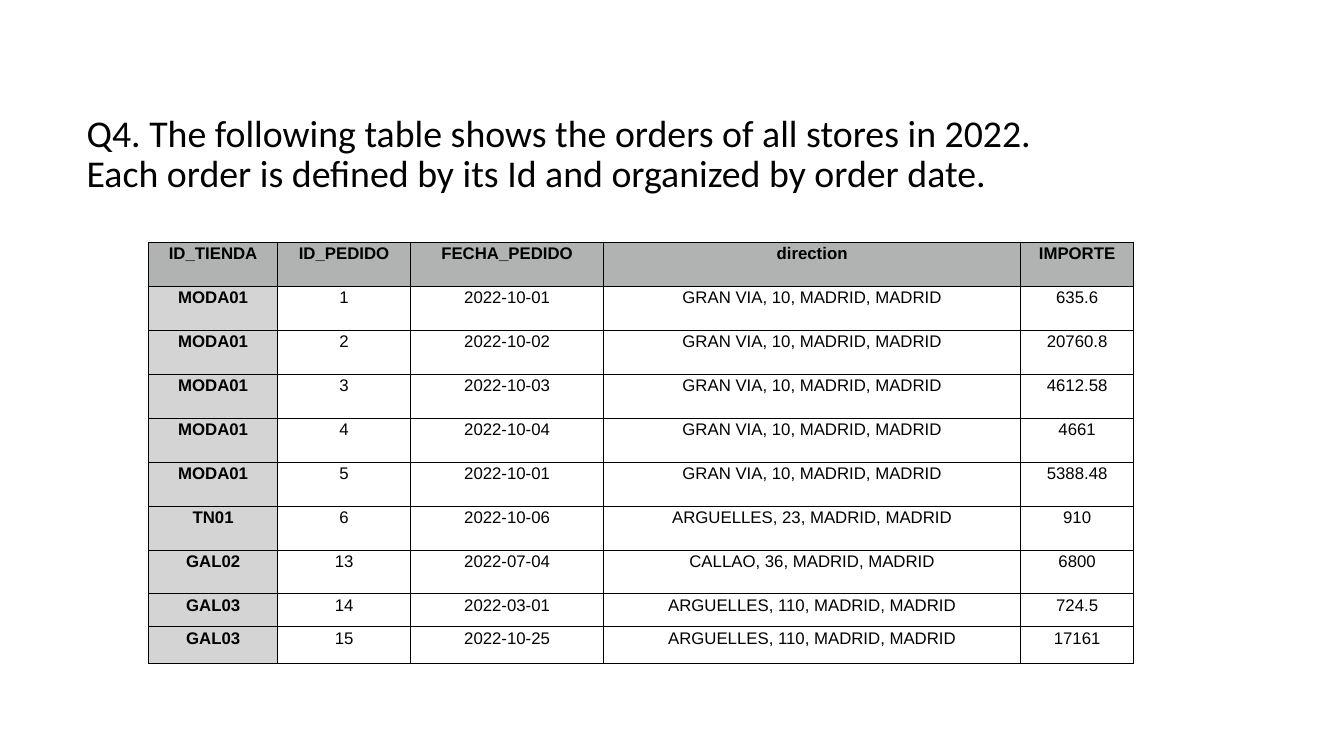
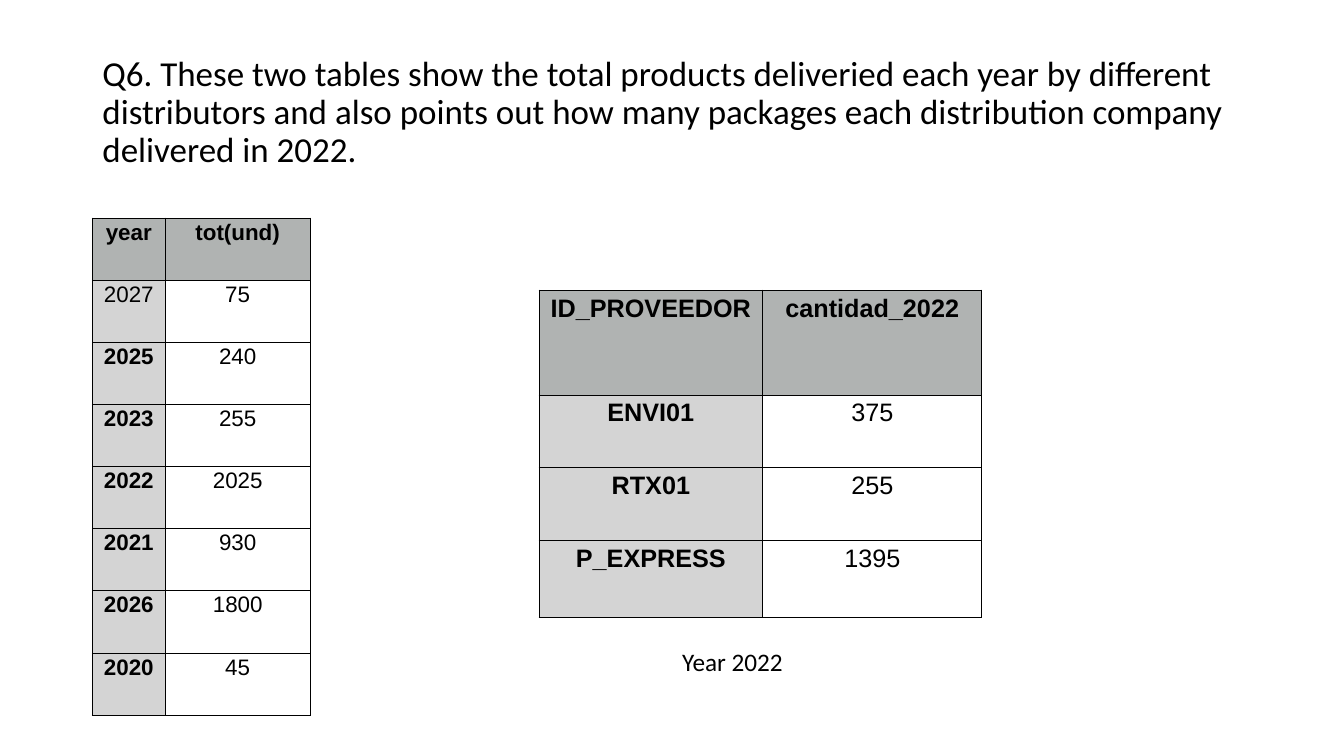
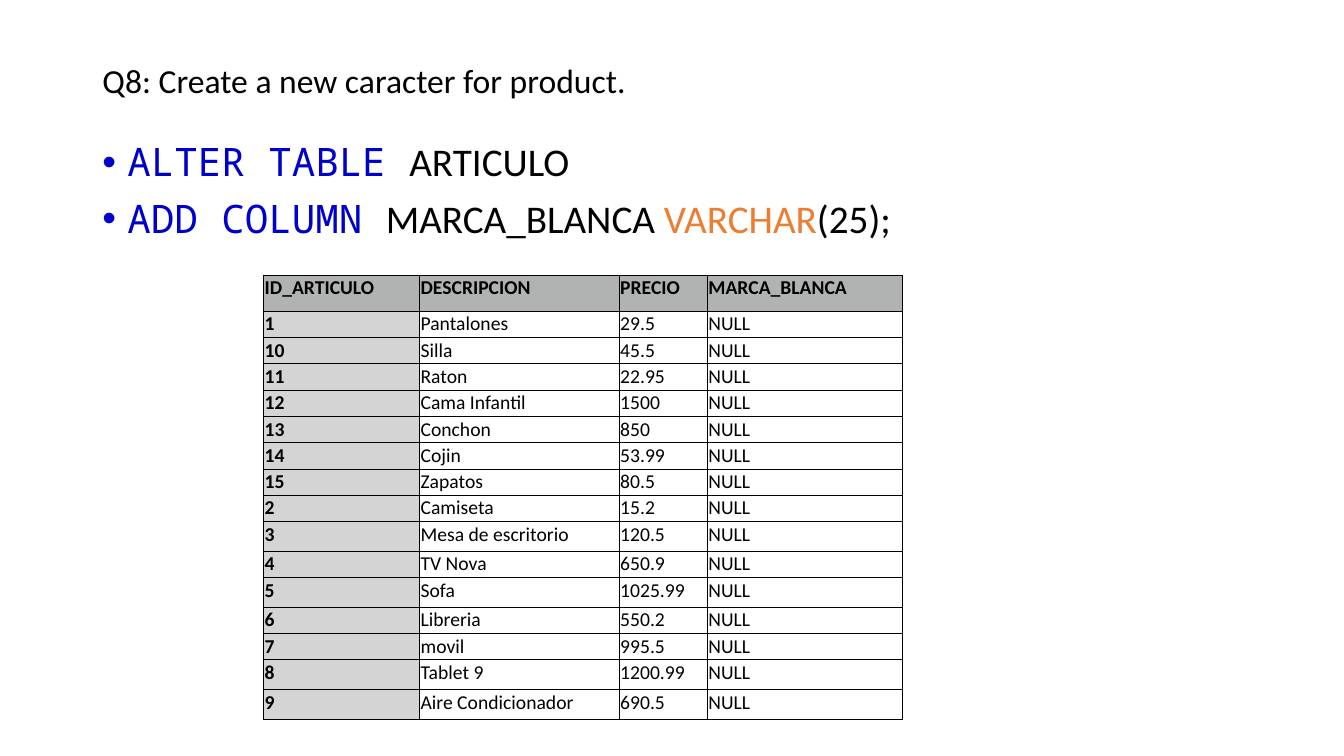
from dataclasses import dataclass

from lxml.etree import SubElement
from pptx import Presentation
from pptx.dml.color import RGBColor
from pptx.enum.text import MSO_ANCHOR, MSO_AUTO_SIZE, PP_ALIGN
from pptx.oxml.ns import qn
from pptx.presentation import Presentation as Deck
from pptx.slide import Slide
from pptx.table import _Cell
from pptx.text.text import _Paragraph, _Run
from pptx.util import Pt

BLACK = "000000"
HEADER_GREY = "B0B3B2"
KEY_GREY = "D4D4D4"
KEYWORD_BLUE = "0000CD"
TYPE_ORANGE = "ED7D31"
BODY_FONT = "Calibri"
TABLE_FONT = "Arial"
CODE_FONT = "Noto Sans Mono"
LINE_SPACING = 0.9
BORDER_WIDTH = 0.75
TITLE_ONLY = 5


@dataclass(frozen=True)
class Area:
    """Place of a text frame, in points."""
    left: float
    top: float
    width: float
    height: float


@dataclass(frozen=True)
class Grid:
    """A bordered table with a header row and a key column."""
    left: float
    top: float
    columns: list[float]
    heights: list[float]
    rows: list[tuple[str, ...]]
    size: float
    inset: float
    font: str = TABLE_FONT
    align: PP_ALIGN = PP_ALIGN.CENTER
    light_keys: tuple[str, ...] = ()


@dataclass(frozen=True)
class Span:
    """A piece of a statement with its own look."""
    text: str
    font: str = BODY_FONT
    color: str = BLACK


def rgb(value: str) -> RGBColor:
    """Turn a hex string into a colour."""
    return RGBColor.from_string(value)


def style_run(run: _Run, size: float, font: str = BODY_FONT, color: str = BLACK, bold: bool = False) -> None:
    """Format one run."""
    run.font.size = Pt(size)
    run.font.name = font
    run.font.bold = bold
    run.font.color.rgb = rgb(color)


def add_titled_slide(deck: Deck, title: str, area: Area, size: float) -> Slide:
    """Add a slide and set its title."""
    page = deck.slides.add_slide(deck.slide_layouts[TITLE_ONLY])
    box = page.shapes.title
    box.left, box.top = Pt(area.left), Pt(area.top)
    box.width, box.height = Pt(area.width), Pt(area.height)
    frame = box.text_frame
    frame.auto_size = MSO_AUTO_SIZE.NONE
    frame.vertical_anchor = MSO_ANCHOR.MIDDLE
    para = frame.paragraphs[0]
    para.text = title
    para.alignment = PP_ALIGN.LEFT
    para.line_spacing = LINE_SPACING
    for run in para.runs:
        style_run(run, size)
    return page


def add_borders(cell: _Cell) -> None:
    """Draw a thin black line on each side of a cell."""
    properties = cell._tc.get_or_add_tcPr()
    for side in ("a:lnL", "a:lnR", "a:lnT", "a:lnB"):
        line = SubElement(properties, qn(side), w=str(Pt(BORDER_WIDTH)))
        fill = SubElement(line, qn("a:solidFill"))
        SubElement(fill, qn("a:srgbClr"), val=BLACK)


def fill_cell(cell: _Cell, color: str | None) -> None:
    """Fill a cell, or leave it clear."""
    if color is None:
        cell.fill.background()
    else:
        cell.fill.solid()
        cell.fill.fore_color.rgb = rgb(color)


def add_grid(page: Slide, grid: Grid) -> None:
    """Draw a table."""
    frame = page.shapes.add_table(
        len(grid.rows), len(grid.columns), Pt(grid.left), Pt(grid.top),
        Pt(sum(grid.columns)), Pt(sum(grid.heights)))
    table = frame.table
    table.first_row = table.horz_banding = False
    for column, width in zip(table.columns, grid.columns):
        column.width = Pt(width)
    for row, height in zip(table.rows, grid.heights):
        row.height = Pt(height)
    for row_index, values in enumerate(grid.rows):
        for column_index, value in enumerate(values):
            cell = table.cell(row_index, column_index)
            cell.margin_left = cell.margin_right = Pt(grid.inset)
            cell.margin_top = cell.margin_bottom = Pt(grid.inset)
            is_header, is_key = row_index == 0, column_index == 0
            add_borders(cell)
            fill_cell(cell, HEADER_GREY if is_header else KEY_GREY if is_key else None)
            para = cell.text_frame.paragraphs[0]
            para.text = value
            para.alignment = grid.align
            bold = is_header or (is_key and value not in grid.light_keys)
            style_run(para.runs[0], grid.size, grid.font, bold=bold)


def add_caption(page: Slide, text: str, area: Area, size: float) -> None:
    """Add a one-line caption."""
    box = page.shapes.add_textbox(Pt(area.left), Pt(area.top), Pt(area.width), Pt(area.height))
    frame = box.text_frame
    frame.word_wrap = False
    frame.auto_size = MSO_AUTO_SIZE.SHAPE_TO_FIT_TEXT
    frame.text = text
    style_run(frame.paragraphs[0].runs[0], size)


def add_bullet(para: _Paragraph, indent: float) -> None:
    """Give a paragraph a hanging bullet."""
    properties = para._p.get_or_add_pPr()
    properties.set("marL", str(Pt(indent)))
    properties.set("indent", str(-Pt(indent)))
    SubElement(properties, qn("a:buFont"), typeface=TABLE_FONT)
    SubElement(properties, qn("a:buChar"), char="•")


def add_statements(page: Slide, statements: list[list[Span]], area: Area, size: float) -> None:
    """Add a bulleted list of coloured statements."""
    box = page.shapes.add_textbox(Pt(area.left), Pt(area.top), Pt(area.width), Pt(area.height))
    frame = box.text_frame
    frame.word_wrap = True
    for index, spans in enumerate(statements):
        para = frame.add_paragraph() if index else frame.paragraphs[0]
        para.line_spacing = LINE_SPACING
        para.space_before = Pt(10)
        add_bullet(para, 18)
        for span in spans:
            run = para.add_run()
            run.text = span.text
            style_run(run, size, span.font, span.color)


def build_orders(deck: Deck) -> None:
    """Build the slide with the orders of 2022."""
    page = add_titled_slide(
        deck,
        "Q4. The following table shows the orders of all stores in 2022. \n"
        "Each order is defined by its Id and organized by order date.",
        Area(54.7, 28.8, 839.5, 164.2), 27)
    main_street = "GRAN VIA, 10, MADRID, MADRID"
    last_street = "ARGUELLES, 110, MADRID, MADRID"
    rows = [
        ("ID_TIENDA", "ID_PEDIDO", "FECHA_PEDIDO", "direction", "IMPORTE"),
        ("MODA01", "1", "2022-10-01", main_street, "635.6"),
        ("MODA01", "2", "2022-10-02", main_street, "20760.8"),
        ("MODA01", "3", "2022-10-03", main_street, "4612.58"),
        ("MODA01", "4", "2022-10-04", main_street, "4661"),
        ("MODA01", "5", "2022-10-01", main_street, "5388.48"),
        ("TN01", "6", "2022-10-06", "ARGUELLES, 23, MADRID, MADRID", "910"),
        ("GAL02", "13", "2022-07-04", "CALLAO, 36, MADRID, MADRID", "6800"),
        ("GAL03", "14", "2022-03-01", last_street, "724.5"),
        ("GAL03", "15", "2022-10-25", last_street, "17161"),
    ]
    add_grid(page, Grid(
        106.2, 173.2, [92.1, 95, 137.9, 297.9, 80.7], [31.4] * 8 + [23.6, 26],
        rows, size=12, inset=1.4))


def build_deliveries(deck: Deck) -> None:
    """Build the slide with deliveries by year and by distributor."""
    page = add_titled_slide(
        deck,
        "Q6. These two tables show the total products deliveried each year by different "
        "distributors and also points out how many packages each distribution company "
        "delivered in 2022.",
        Area(66, 28.8, 828, 104.4), 25)
    years = [
        ("year", "tot(und)"), ("2027", "75"), ("2025", "240"), ("2023", "255"),
        ("2022", "2025"), ("2021", "930"), ("2026", "1800"), ("2020", "45"),
    ]
    add_grid(page, Grid(
        66, 155.7, [52, 103.6], [44.4] * len(years), years,
        size=16, inset=1.4, light_keys=("2027",)))
    distributors = [
        ("ID_PROVEEDOR", "cantidad_2022"), ("ENVI01", "375"),
        ("RTX01", "255"), ("P_EXPRESS", "1395"),
    ]
    add_grid(page, Grid(
        385, 207.2, [159.8, 156.6], [75, 51.9, 51.9, 54.8], distributors,
        size=18, inset=2.9))
    add_caption(page, "Year 2022", Area(480.2, 457.9, 87.1, 28.8), 18)


def build_products(deck: Deck) -> None:
    """Build the slide with the new product column."""
    page = add_titled_slide(
        deck, "Q8: Create a new caracter for product.", Area(66, 28.8, 828, 59.8), 24)
    add_statements(page, [
        [Span("ALTER TABLE ", CODE_FONT, KEYWORD_BLUE), Span("ARTICULO")],
        [Span("ADD COLUMN ", CODE_FONT, KEYWORD_BLUE), Span("MARCA_BLANCA "),
         Span("VARCHAR", color=TYPE_ORANGE), Span("(25);")],
    ], Area(66, 98.6, 828, 342.7), 28)
    products = [
        ("1", "Pantalones", "29.5"), ("10", "Silla", "45.5"), ("11", "Raton", "22.95"),
        ("12", "Cama Infantil", "1500"), ("13", "Conchon", "850"), ("14", "Cojin", "53.99"),
        ("15", "Zapatos", "80.5"), ("2", "Camiseta", "15.2"),
        ("3", "Mesa de escritorio", "120.5"), ("4", "TV Nova", "650.9"),
        ("5", "Sofa", "1025.99"), ("6", "Libreria", "550.2"), ("7", "movil", "995.5"),
        ("8", "Tablet 9", "1200.99"), ("9", "Aire Condicionador", "690.5"),
    ]
    tall_keys = ("3", "5", "8", "9")
    header = ("ID_ARTICULO", "DESCRIPCION", "PRECIO", "MARCA_BLANCA")
    heights = [25.7] + [21.2 if product[0] in tall_keys else 18.8 for product in products]
    rows = [header] + [(*product, "NULL") for product in products]
    add_grid(page, Grid(
        188.4, 196.6, [111.4, 142.6, 63, 139.6], heights, rows,
        size=14, inset=0.7, font=BODY_FONT, align=PP_ALIGN.LEFT))


def main() -> None:
    """Build and save the deck."""
    deck = Presentation()
    deck.slide_width, deck.slide_height = Pt(960), Pt(540)
    build_orders(deck)
    build_deliveries(deck)
    build_products(deck)
    deck.save("out.pptx")


if __name__ == "__main__":
    main()
